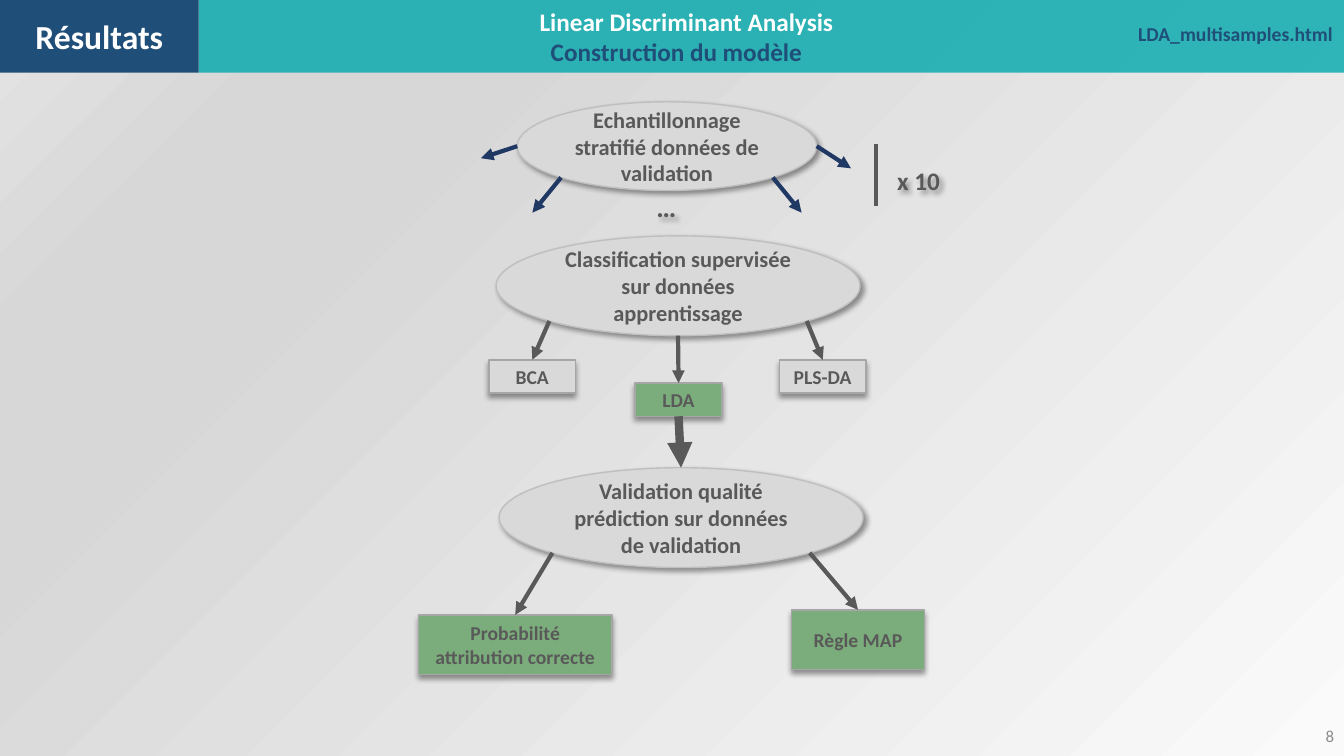
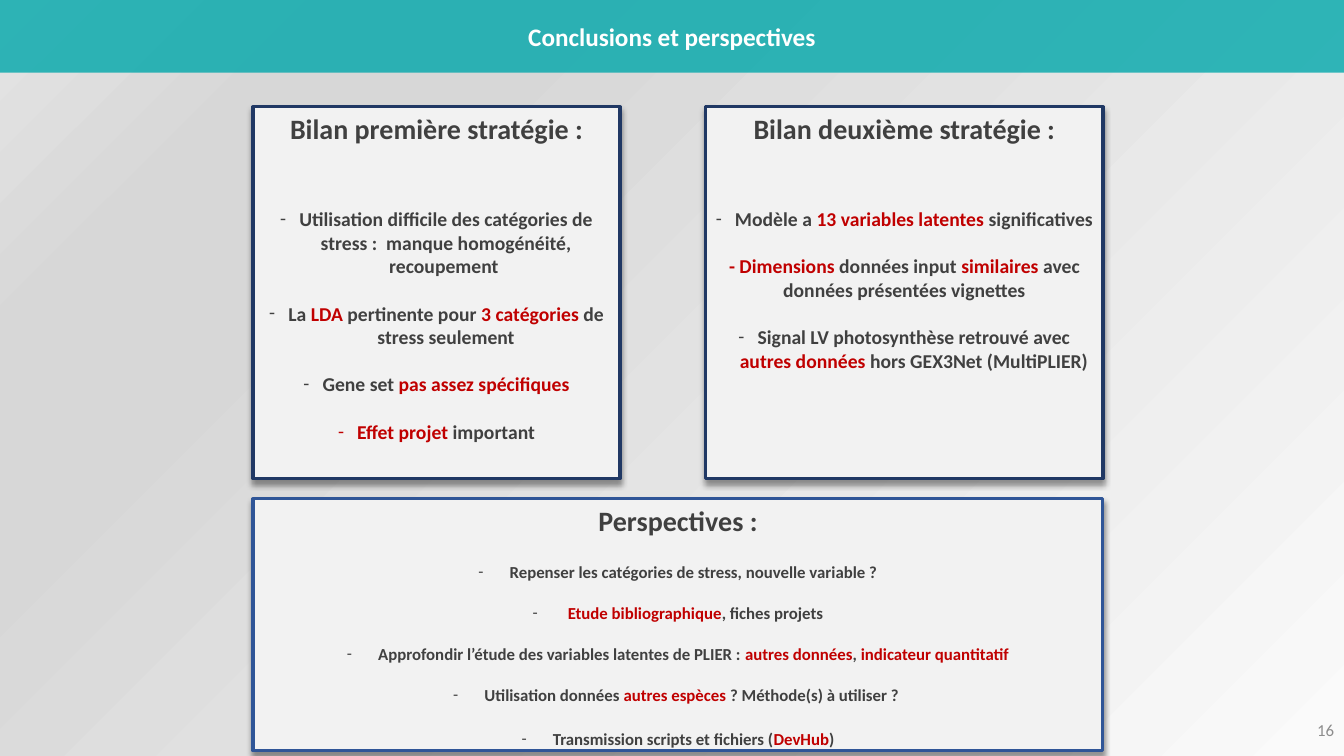
"""Build two slides: a model-building flow chart and the conclusions."""
import math

import pptx
import pptx.dml.color
import pptx.enum.shapes
import pptx.enum.text
import pptx.oxml
import pptx.oxml.ns
import pptx.util

PX = 9144
WIDE, HIGH, BAND = 1333, 750, 72
FONT = "Calibri"
TEAL, BLUE, NAVY, EDGE = "00A7AA", "1F4E79", "203864", "2F5597"
WHITE, PALE, GREY, GREEN = "FFFFFF", "F2F2F2", "D9D9D9", "7BAC7B"
TEXT, DARK, RED, PAGE = "595959", "404040", "C00000", "8C8C8C"
RIM, LINE = "BFBFBF", "A6A6A6"
STOPS = [(0, "FAFAFA"), (74, "D7D7D7"), (83, "D7D7D7"), (100, "E4E4E4")]

OVALS = {
    "sample": ((513, 101, 297, 88), ["Echantillonnage stratifié données de validation"]),
    "class": ((492, 234, 361, 99), ["Classification supervisée", "sur données apprentissage"]),
    "valid": ((495, 464, 361, 99), ["Validation qualité prédiction sur données de validation"]),
}
BOXES = {
    "bca": ((485, 357, 86, 33), GREY, "BCA"),
    "lda": ((630, 380, 86, 33), GREEN, "LDA"),
    "pls": ((773, 357, 86, 33), GREY, "PLS-DA"),
    "prob": ((415, 610, 192, 59), GREEN, "Probabilité attribution correcte"),
    "map": ((785, 605, 132, 59), GREEN, "Règle MAP"),
}
SPLITS = [
    ("sample", 180, (477, 157)),
    ("sample", 135, (528, 211)),
    ("sample", 45, (795, 211)),
    ("sample", 0, (844, 167)),
]
FLOWS = [
    ("class", 135, "bca"),
    ("class", 90, "lda"),
    ("class", 45, "pls"),
    ("valid", 135, "prob"),
    ("valid", 45, "map"),
]
NOTES = [((760, 143, 302, 72), "x 10", 18), ((607, 188, 108, 33), "…", 20)]

# Each panel row: text with |red| parts, size, space before, bullet.
PANELS = [
    ((251, 106, 364, 369), NAVY, 19, [
        ("Bilan première stratégie :", 20, 0, False),
        ("Utilisation difficile des catégories de stress :  manque homogénéité, recoupement ", 14, 44, True),
        ("La |LDA| pertinente pour |3 catégories |de stress seulement", 14, 17, True),
        ("Gene set |pas assez spécifiques|", 14, 17, True),
        ("|Effet projet |important", 14, 17, True),
    ]),
    ((700, 106, 394, 369), NAVY, 19, [
        ("Bilan deuxième stratégie :", 20, 0, False),
        ("Modèle a |13 variables latentes |significatives", 14, 44, True),
        ("|- Dimensions |données input |similaires| avec données présentées vignettes", 14, 17, False),
        ("Signal LV photosynthèse retrouvé avec |autres données |hors GEX3Net (MultiPLIER)", 14, 17, True),
    ]),
    ((251, 495, 843, 250), EDGE, 31, [
        ("Perspectives :", 20, 0, False),
        ("Repenser les catégories de stress, nouvelle variable ?", 12, 17, True),
        (" |Etude bibliographique|, fiches projets", 12, 15, True),
        ("Approfondir l’étude des variables latentes de PLIER : |autres données|, |indicateur quantitatif|", 12, 15, True),
        ("Utilisation données |autres espèces |? Méthode(s) à utiliser ? ", 12, 15, True),
        ("Transmission scripts et fichiers (|DevHub|)", 12, 17, True),
    ]),
]

ALIGN = pptx.enum.text.PP_ALIGN
ANCHOR = pptx.enum.text.MSO_ANCHOR
SHAPE = pptx.enum.shapes.MSO_SHAPE
qn = pptx.oxml.ns.qn


def rgb(code):
    return pptx.dml.color.RGBColor.from_string(code)


def emu(*vals):
    return [round(val * PX) for val in vals]


def node(tag, attrs="", body=""):
    return pptx.oxml.parse_xml(
        f'<a:{tag} {pptx.oxml.ns.nsdecls("a")} {attrs}>{body}</a:{tag}>')


def paint(master):
    master.background.fill.gradient()
    old = master.element.find(".//" + qn("a:gradFill"))
    stops = "".join(f'<a:gs pos="{pos * 1000}"><a:srgbClr val="{code}"/></a:gs>'
                    for pos, code in STOPS)
    new = node("gradFill", 'rotWithShape="1"',
               f'<a:gsLst>{stops}</a:gsLst><a:path path="circle">'
               '<a:fillToRect l="100000" t="100000"/></a:path>'
               '<a:tileRect r="-100000" b="-100000"/>')
    old.getparent().replace(old, new)


def shade(shape, angle):
    shape.shadow.inherit = False
    shape.element.spPr.find(qn("a:effectLst")).append(node(
        "outerShdw", f'blurRad="50800" dist="38100" dir="{angle * 60000}" '
        'algn="t" rotWithShape="0"',
        '<a:srgbClr val="000000"><a:alpha val="40000"/></a:srgbClr>'))


def block(slide, kind, box, fill, line=None, width=1, angle=None):
    shape = slide.shapes.add_shape(kind, *emu(*box))
    shape.fill.solid()
    shape.fill.fore_color.rgb = rgb(fill)
    if line:
        shape.line.color.rgb = rgb(line)
        shape.line.width = pptx.util.Pt(width)
    else:
        shape.line.fill.background()
    if angle is None:
        shape.shadow.inherit = False
    else:
        shade(shape, angle)
    return shape


def frame(shape, anchor=ANCHOR.MIDDLE, wrap=True):
    body = shape.text_frame
    body.word_wrap = wrap
    body.vertical_anchor = anchor
    return body


def para(body, first, align=ALIGN.CENTER):
    par = body.paragraphs[0] if first else body.add_paragraph()
    par.alignment = align
    return par


def put(par, text, size, code, bold=True):
    run = par.add_run()
    run.text = text
    run.font.name = FONT
    run.font.size = pptx.util.Pt(size)
    run.font.bold = bold
    run.font.color.rgb = rgb(code)


def fill(shape, lines, size, code):
    body = frame(shape)
    for num, text in enumerate(lines):
        put(para(body, num == 0), text, size, code)


def label(slide, box, text, size, code, align, bold=True, wrap=True):
    shape = slide.shapes.add_textbox(*emu(*box))
    put(para(frame(shape, wrap=wrap), True, align), text, size, code, bold)
    return shape


def band(slide, left):
    shape = block(slide, SHAPE.RECTANGLE, (left, 0, WIDE - left, BAND), TEAL)
    shape.element.spPr.find(".//" + qn("a:srgbClr")).append(
        node("alpha", 'val="80000"'))
    return shape


def page(slide, num, top):
    label(slide, (1033, top, 300, 40), num, 12, PAGE, ALIGN.RIGHT, False)


def rim(box, angle):
    left, top, wide, high = box
    turn = math.radians(angle)
    return (left + wide / 2 * (1 + math.cos(turn)),
            top + high / 2 * (1 + math.sin(turn)))


def link(slide, start, end, code, width=3, head=True):
    line = slide.shapes.add_connector(
        pptx.enum.shapes.MSO_CONNECTOR.STRAIGHT, *emu(*start, *end))
    line.line.color.rgb = rgb(code)
    line.line.width = pptx.util.Pt(width)
    if head:
        line.line._get_or_add_ln().append(node("tailEnd", 'type="triangle"'))
    line.element.spPr.append(node("effectLst"))
    return line


def model(slide):
    title = band(slide, 197)
    body = frame(title)
    body.margin_right = emu(198)[0]
    top = para(body, True)
    put(top, "Linear Discriminant Analysis", 18, WHITE)
    top._p.get_or_add_pPr().set("marL", str(20 * PX))
    put(para(body, False), "Construction du modèle", 18, BLUE)
    tab = block(slide, SHAPE.RECTANGLE, (0, 0, 197, BAND), BLUE)
    fill(tab, ["Résultats"], 24, WHITE)
    label(slide, (1119, 16, 214, 34), "LDA_multisamples.html", 14, BLUE,
          ALIGN.LEFT, wrap=False)
    page(slide, "8", 710)
    for box, text, size in NOTES:
        shade(label(slide, box, text, size, TEXT, ALIGN.CENTER), 45)
    made = {}
    for key, (box, lines) in OVALS.items():
        made[key] = block(slide, SHAPE.OVAL, box, GREY, RIM, angle=45)
        fill(made[key], lines, 16, TEXT)
    for key, (box, code, text) in BOXES.items():
        made[key] = block(slide, SHAPE.RECTANGLE, box, code, LINE, angle=90)
        fill(made[key], [text], 14, TEXT)
    for key, angle, end in SPLITS:
        link(slide, rim(OVALS[key][0], angle), end, NAVY)
    for key, angle, goal in FLOWS:
        box = BOXES[goal][0]
        line = link(slide, rim(OVALS[key][0], angle), rim(box, 270), TEXT)
        line.end_connect(made[goal], 0)
    thick = link(slide, rim(BOXES["lda"][0], 90), rim(OVALS["valid"][0], 270), TEXT, 6)
    thick.begin_connect(made["lda"], 2)
    thick.end_connect(made["valid"], 0)
    link(slide, (869, 143), (869, 204), TEXT, head=False)


def close(slide):
    fill(band(slide, 0), ["Conclusions et perspectives"], 18, WHITE)
    page(slide, "16", 704)
    for box, edge, hang, rows in PANELS:
        shape = block(slide, SHAPE.RECTANGLE, box, PALE, edge, 2.25, 90)
        body = frame(shape, ANCHOR.TOP)
        for num, (text, size, gap, mark) in enumerate(rows):
            par = para(body, num == 0)
            par.space_before = pptx.util.Pt(gap)
            if mark:
                props = par._p.get_or_add_pPr()
                props.set("marL", str(hang * PX))
                props.set("indent", str(-hang * PX))
                props.append(node("buFont", f'typeface="{FONT}"'))
                props.append(node("buChar", 'char="-"'))
            for part, words in enumerate(text.split("|")):
                if words:
                    put(par, words, size, RED if part % 2 else DARK)


def main():
    deck = pptx.Presentation()
    deck.slide_width, deck.slide_height = emu(WIDE, HIGH)
    paint(deck.slide_master)
    for draw in (model, close):
        draw(deck.slides.add_slide(deck.slide_layouts[6]))
    deck.save("out.pptx")


if __name__ == "__main__":
    main()
